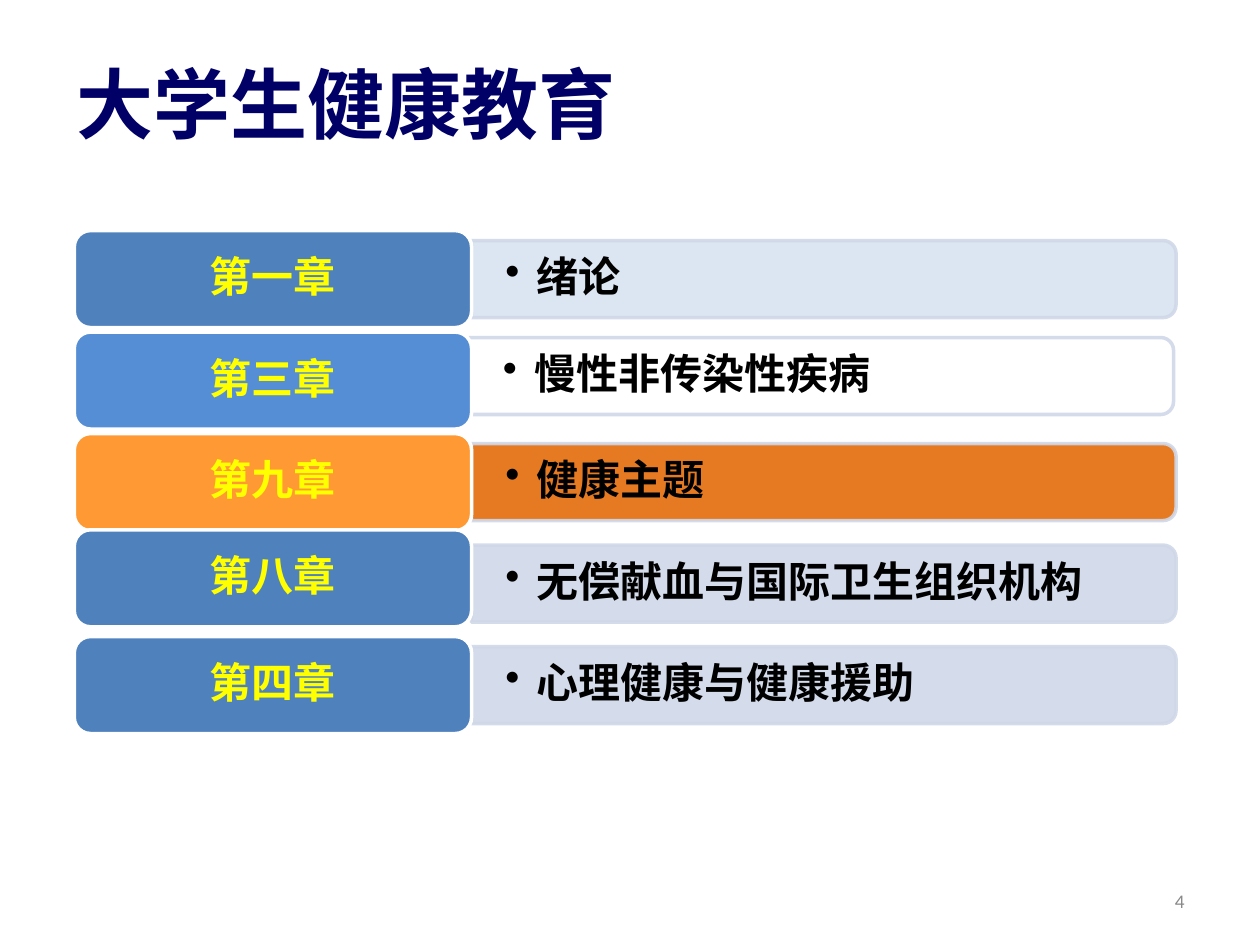
from lxml import etree
from pptx import Presentation
from pptx.dml.color import RGBColor
from pptx.enum.shapes import MSO_SHAPE
from pptx.enum.text import MSO_ANCHOR, PP_ALIGN
from pptx.oxml.ns import qn
from pptx.util import Pt

ROUNDED, TOP_ROUNDED = MSO_SHAPE.ROUNDED_RECTANGLE, MSO_SHAPE.ROUND_2_SAME_RECTANGLE
MIDDLE = MSO_ANCHOR.MIDDLE
LEFT, CENTER, RIGHT = PP_ALIGN.LEFT, PP_ALIGN.CENTER, PP_ALIGN.RIGHT

WHITE = RGBColor(0xFF, 0xFF, 0xFF)
BLACK = RGBColor(0, 0, 0)
NAVY = RGBColor(0, 0, 0x66)
YELLOW = RGBColor(0xFF, 0xFF, 0)
GRAY = RGBColor(0x89, 0x89, 0x89)
BLUE = RGBColor(0x4F, 0x81, 0xBD)
LIGHT_BLUE = RGBColor(0x55, 0x8E, 0xD5)
ORANGE = RGBColor(0xFF, 0x99, 0x33)
DARK_ORANGE = RGBColor(0xE4, 0x6C, 0x0A)
PALE_BLUE = RGBColor(0xDC, 0xE6, 0xF2)
PALE_GRAY = RGBColor(0xD0, 0xD8, 0xE8)

CJK, LATIN = "Noto Sans CJK SC", "Calibri"

# Content: chapter, topic, label fill, bar fill, bar opacity in percent,
# label shift down, bar shift (right, down)
TITLE = "大学生健康教育"
PAGE_NUMBER = "4"
CHAPTERS = [
    ("第一章", "绪论", BLUE, PALE_BLUE, 100, 0, (0, 0)),
    ("第三章", "慢性非传染性疾病", LIGHT_BLUE, WHITE, 100, 0, (-1.4, -2.6)),
    ("第九章", "健康主题", ORANGE, DARK_ORANGE, 90, 0, (0, 0)),
    ("第八章", "无偿献血与国际卫生组织机构", BLUE, PALE_GRAY, 90, -3, (0, 0)),
    ("第四章", "心理健康与健康援助", BLUE, PALE_GRAY, 90, 0, (0, 0)),
]

# Layout in points
FIRST_CENTER, PITCH = 159.5, 58
LABEL_LEFT, LABEL_WIDTH, LABEL_HEIGHT = 42.5, 227, 55.4
BAR_LEFT, BAR_LENGTH, BAR_HEIGHT = 269.4, 402.6, 44
TOPIC_WIDTH, TOPIC_HEIGHT = 400.3, 39.6
TOPIC_INSETS = {"margin_left": 19.4, "margin_right": 19.4,
                "margin_top": 10, "margin_bottom": 10}


def box(left, top, width, height):
    return [Pt(v) for v in (left, top, width, height)]


def write(shape, text, size, color, align=LEFT, font=CJK, bold=True, spacing=None):
    frame = shape.text_frame
    frame.word_wrap = True
    frame.vertical_anchor = MIDDLE
    paragraph = frame.paragraphs[0]
    paragraph.alignment = align
    paragraph.line_spacing = spacing
    run = paragraph.add_run()
    run.text = text
    for name, value in {"size": Pt(size), "name": font, "bold": bold}.items():
        setattr(run.font, name, value)
    run.font.color.rgb = color
    east_asian = etree.SubElement(run.font._element, qn("a:ea"))
    east_asian.set("typeface", font)
    return paragraph


def set_opacity(color_format, percent):
    solid = color_format._xPr.find(qn("a:solidFill"))
    etree.SubElement(solid[0], qn("a:alpha")).set("val", str(percent * 1000))


def add_panel(slide, preset, bounds, fill, line):
    panel = slide.shapes.add_shape(preset, *bounds)
    panel.shadow.inherit = False
    panel.fill.solid()
    panel.fill.fore_color.rgb = fill
    panel.line.color.rgb = line
    panel.line.width = Pt(2)
    return panel


def add_bar(slide, left, center, fill, opacity):
    # The shape stands upright before its quarter turn
    bounds = box(left + (BAR_LENGTH - BAR_HEIGHT) / 2, center - BAR_LENGTH / 2,
                 BAR_HEIGHT, BAR_LENGTH)
    bar = add_panel(slide, TOP_ROUNDED, bounds, fill, PALE_GRAY)
    bar.rotation = 90
    properties = bar._element.spPr
    levels = ((properties, opacity), (properties.find(qn("a:ln")), 90))
    for holder, percent in levels:
        if percent < 100:
            color = holder.find(qn("a:solidFill"))[0]
            etree.SubElement(color, qn("a:alpha")).set("val", str(percent * 1000))


def add_topic(slide, left, center, topic):
    bounds = box(left, center - TOPIC_HEIGHT / 2, TOPIC_WIDTH, TOPIC_HEIGHT)
    topic_box = slide.shapes.add_textbox(*bounds)
    for name, value in TOPIC_INSETS.items():
        setattr(topic_box.text_frame, name, Pt(value))
    paragraph = write(topic_box, topic, 24, BLACK, spacing=0.9)
    paragraph.level = 1
    properties = paragraph._p.get_or_add_pPr()
    properties.set("marL", str(Pt(18)))
    properties.set("indent", str(-Pt(18)))
    etree.SubElement(properties, qn("a:buChar")).set("char", "•")


def main():
    prs = Presentation()
    prs.slide_width, prs.slide_height = Pt(720), Pt(540)
    slide = prs.slides.add_slide(prs.slide_layouts[5])

    # Title
    title = slide.shapes.title
    title.left, title.top, title.width, title.height = box(36.7, 4.3, 612, 108.7)
    write(title, TITLE, 44, NAVY)

    # Chapter rows
    for row, (chapter, topic, label_fill, bar_fill, opacity,
              label_shift, (shift_x, shift_y)) in enumerate(CHAPTERS):
        center = FIRST_CENTER + row * PITCH
        bar_left, bar_center = BAR_LEFT + shift_x, center + shift_y
        add_bar(slide, bar_left, bar_center, bar_fill, opacity)
        add_topic(slide, bar_left, bar_center, topic)
        bounds = box(LABEL_LEFT, center + label_shift - LABEL_HEIGHT / 2,
                     LABEL_WIDTH, LABEL_HEIGHT)
        label = add_panel(slide, ROUNDED, bounds, label_fill, WHITE)
        write(label, chapter, 24, YELLOW, CENTER, spacing=0.9)

    # Page number
    page = slide.shapes.add_textbox(*box(516, 500.5, 168, 28.8))
    write(page, PAGE_NUMBER, 11, GRAY, RIGHT, LATIN, False)

    prs.save("out.pptx")


if __name__ == "__main__":
    main()
